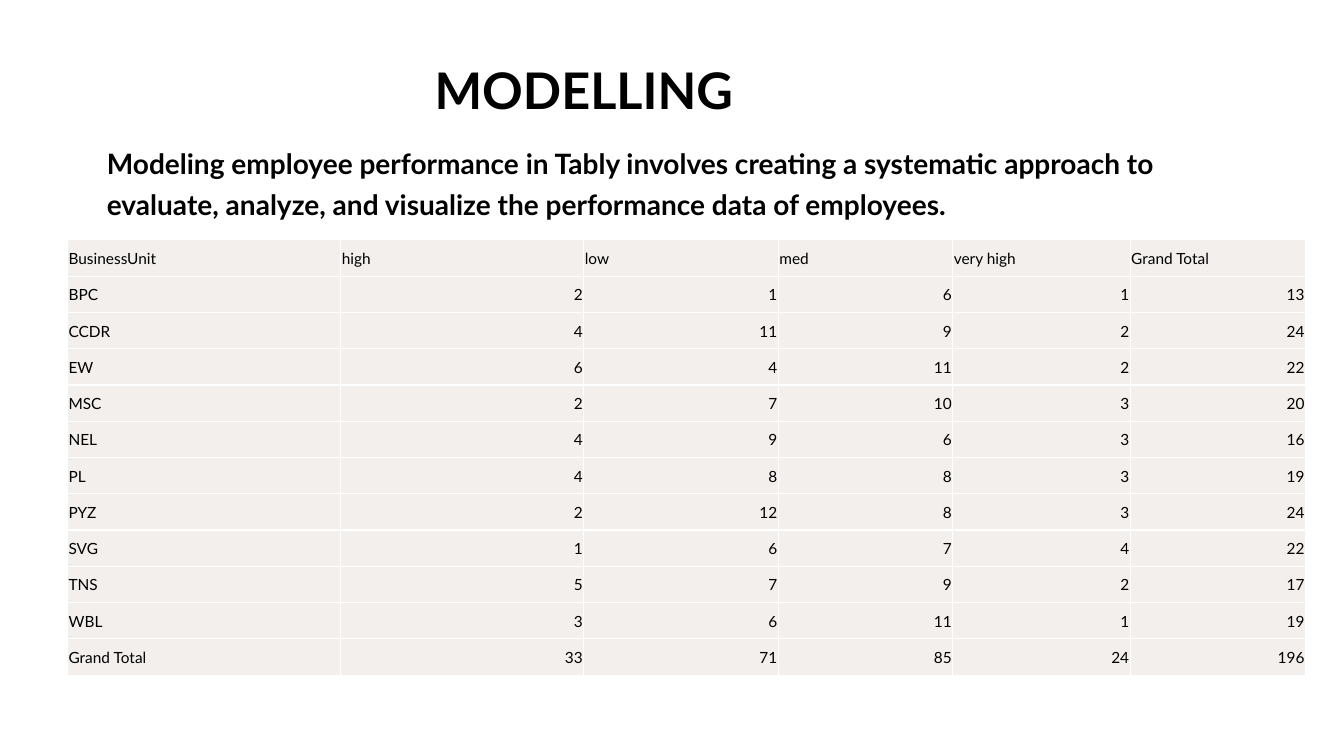
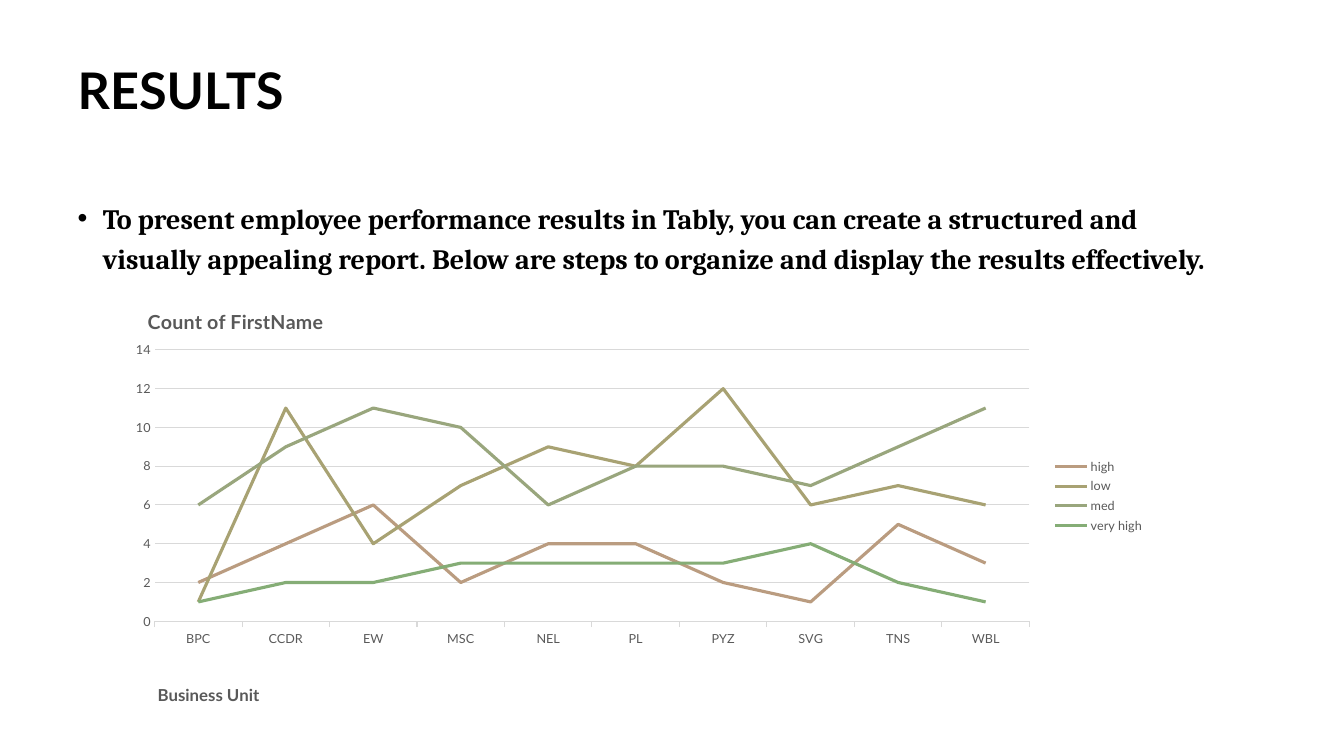
from lxml.etree import SubElement
from pptx import Presentation
from pptx.chart.data import CategoryChartData
from pptx.dml.color import RGBColor
from pptx.enum.chart import XL_CHART_TYPE as ChartType, XL_LEGEND_POSITION as LegendPosition, XL_TICK_MARK as TickMark
from pptx.enum.text import MSO_ANCHOR as Anchor, MSO_AUTO_SIZE as AutoSize, PP_ALIGN as Align
from pptx.oxml import parse_xml
from pptx.oxml.ns import nsdecls, qn
from pptx.util import Pt

PX = 9144
BLACK = RGBColor(0x00, 0x00, 0x00)
WHITE = RGBColor(0xFF, 0xFF, 0xFF)
CELL_FILL = RGBColor(0xF3, 0xEF, 0xED)
CHART_TEXT = RGBColor(0x59, 0x59, 0x59)
GRID = RGBColor(0xD9, 0xD9, 0xD9)
LEVEL_COLORS = (
    RGBColor(0xBA, 0x9C, 0x80),
    RGBColor(0xA8, 0xA2, 0x73),
    RGBColor(0x99, 0xA6, 0x7D),
    RGBColor(0x85, 0xAD, 0x76),
)

SANS = "Lato"
SERIF = "Cambria"
TITLE_FONT = {"name": SANS, "size": Pt(36), "bold": True}
TITLE_BOX = (67, 60, 1165, 124)
TITLE_PARAGRAPH = {"alignment": Align.LEFT, "line_spacing": 0.9}
BODY_FONT = {"size": Pt(20), "bold": True}
BODY_PARAGRAPH = {"alignment": Align.LEFT, "line_spacing": 1.2, "space_before": Pt(10)}
FRAME = {"word_wrap": True, "auto_size": AutoSize.NONE, "vertical_anchor": Anchor.TOP}
CELL_FONT = {"name": SANS, "size": Pt(11), "bold": False}
CELL = {
    "vertical_anchor": Anchor.MIDDLE,
    "margin_left": PX,
    "margin_top": PX,
    "margin_right": PX,
    "margin_bottom": 0,
}
LABEL_FONT = {"name": SANS, "size": Pt(9), "bold": False}

LEVELS = ("high", "low", "med", "very high")
UNITS = {
    "BPC": (2, 1, 6, 1),
    "CCDR": (4, 11, 9, 2),
    "EW": (6, 4, 11, 2),
    "MSC": (2, 7, 10, 3),
    "NEL": (4, 9, 6, 3),
    "PL": (4, 8, 8, 3),
    "PYZ": (2, 12, 8, 3),
    "SVG": (1, 6, 7, 4),
    "TNS": (5, 7, 9, 2),
    "WBL": (3, 6, 11, 1),
}
UNIT_TOTALS = (13, 24, 22, 20, 16, 19, 24, 22, 17, 19)
COLUMN_WIDTHS = (271, 241, 193, 173, 176, 174)


def emu(box):
    return [length * PX for length in box]


def apply(target, values):
    for attribute, value in values.items():
        setattr(target, attribute, value)


def style_font(font, values, color):
    apply(font, values)
    font.color.rgb = color


def fill_placeholder(placeholder, box, text, paragraph_format, font, indent=(0, 0), bullet=True):
    apply(placeholder, dict(zip(("left", "top", "width", "height"), emu(box))))
    frame = placeholder.text_frame
    apply(frame, FRAME)
    frame.text = text
    paragraph = frame.paragraphs[0]
    apply(paragraph, paragraph_format)
    properties = paragraph._p.get_or_add_pPr()
    for attribute, length in zip(("marL", "indent"), indent):
        properties.set(attribute, str(length * PX))
    if not bullet:
        SubElement(properties, qn("a:buNone"))
    style_font(paragraph.runs[0].font, font, BLACK)


def add_text_slide(deck, title, body, body_box, body_face, title_indent=0, bullet=False):
    slide = deck.slides.add_slide(deck.slide_layouts[1])
    fill_placeholder(slide.shapes.title, TITLE_BOX, title, TITLE_PARAGRAPH,
                     TITLE_FONT, (title_indent, 0), False)
    fill_placeholder(slide.placeholders[1], body_box, body, BODY_PARAGRAPH,
                     {"name": body_face, **BODY_FONT}, (25, -25) if bullet else (0, 0), bullet)
    return slide


def add_cell_borders(cell):
    properties = cell._tc.get_or_add_tcPr()
    for position, side in enumerate(("lnL", "lnR", "lnT", "lnB")):
        properties.insert(position, parse_xml(
            f'<a:{side} {nsdecls("a")} w="{Pt(1)}"><a:solidFill>'
            f'<a:srgbClr val="{WHITE}"/></a:solidFill></a:{side}>'))


def add_unit_table(slide, box):
    level_totals = [sum(counts) for counts in zip(*UNITS.values())]
    rows = [("BusinessUnit", *LEVELS, "Grand Total")]
    rows += [(unit, *counts, total) for (unit, counts), total in zip(UNITS.items(), UNIT_TOTALS)]
    rows.append(("Grand Total", *level_totals, sum(UNIT_TOTALS)))
    table = slide.shapes.add_table(len(rows), len(COLUMN_WIDTHS), *emu(box)).table
    apply(table, {"first_row": False, "horz_banding": False})
    for column, width in zip(table.columns, COLUMN_WIDTHS):
        column.width = width * PX
    for row, values in zip(table.rows, rows):
        row.height = box[3] * PX // len(rows)
        for cell, value in zip(row.cells, values):
            cell.text = str(value)
            apply(cell, CELL)
            cell.fill.solid()
            cell.fill.fore_color.rgb = CELL_FILL
            paragraph = cell.text_frame.paragraphs[0]
            paragraph.alignment = Align.RIGHT if isinstance(value, int) else Align.LEFT
            style_font(paragraph.runs[0].font, CELL_FONT, BLACK)
            add_cell_borders(cell)


def place_in_chart(part, fractions, inner=False):
    for layout in part.findall(qn("c:layout")):
        part.remove(layout)
    target = '<c:layoutTarget val="inner"/>' if inner else ""
    modes = '<c:xMode val="edge"/><c:yMode val="edge"/>'
    places = "".join(f'<c:{key} val="{value}"/>' for key, value in zip("xywh", fractions))
    layout = parse_xml(f'<c:layout {nsdecls("c")}><c:manualLayout>{target}{modes}{places}'
                       '</c:manualLayout></c:layout>')
    part.insert(0 if inner else 1, layout)


def set_chart_heading(heading, text, size, fractions):
    heading.text_frame.text = text
    font = heading.text_frame.paragraphs[0].runs[0].font
    style_font(font, {"name": SANS, "size": Pt(size), "bold": True}, CHART_TEXT)
    place_in_chart(heading._element, fractions)


def style_line(line, color, width):
    line.color.rgb = color
    line.width = Pt(width)


def add_level_chart(slide, box):
    data = CategoryChartData()
    data.categories = list(UNITS)
    for level, counts in zip(LEVELS, zip(*UNITS.values())):
        data.add_series(level, counts)
    chart = slide.shapes.add_chart(ChartType.LINE, *emu(box), data).chart
    style_font(chart.font, {"name": SANS, "size": Pt(10)}, BLACK)
    chart.plots[0].vary_by_categories = False
    for series, color in zip(chart.plots[0].series, LEVEL_COLORS):
        series.smooth = False
        style_line(series.format.line, color, 2.25)

    unit_axis, count_axis = chart.category_axis, chart.value_axis
    apply(unit_axis, {"major_tick_mark": TickMark.OUTSIDE, "has_major_gridlines": False})
    style_line(unit_axis.format.line, GRID, 0.75)
    apply(count_axis, {"major_tick_mark": TickMark.NONE, "minimum_scale": 0,
                       "maximum_scale": 14, "major_unit": 2})
    count_axis.format.line.fill.background()
    style_line(count_axis.major_gridlines.format.line, GRID, 0.75)

    chart.has_legend = True
    apply(chart.legend, {"position": LegendPosition.RIGHT, "include_in_layout": False})
    for labels in (unit_axis.tick_labels, count_axis.tick_labels, chart.legend):
        style_font(labels.font, LABEL_FONT, CHART_TEXT)

    set_chart_heading(chart.chart_title, "Count of FirstName", 14, (0.03, 0.04))
    set_chart_heading(unit_axis.axis_title, "Business Unit", 12, (0.04, 0.94))
    place_in_chart(chart._chartSpace.chart.plotArea, (0.04, 0.15, 0.84, 0.65), inner=True)


def main():
    deck = Presentation()
    apply(deck, {"slide_width": 1333 * PX, "slide_height": 750 * PX})
    modelling = add_text_slide(
        deck, "MODELLING",
        "Modeling employee performance in Tably involves creating a systematic approach to "
        "evaluate, analyze, and visualize the performance data of employees.",
        (96, 134, 1165, 502), SANS, title_indent=354)
    add_unit_table(modelling, (67, 238, 1228, 432))
    results = add_text_slide(
        deck, "RESULTS",
        "To present employee performance results in Tably, you can create a structured and "
        "visually appealing report. Below are steps to organize and display the results effectively.",
        (67, 188, 1165, 502), SERIF, bullet=True)
    add_level_chart(results, (112, 285, 1033, 419))
    deck.save("out.pptx")


if __name__ == "__main__":
    main()
